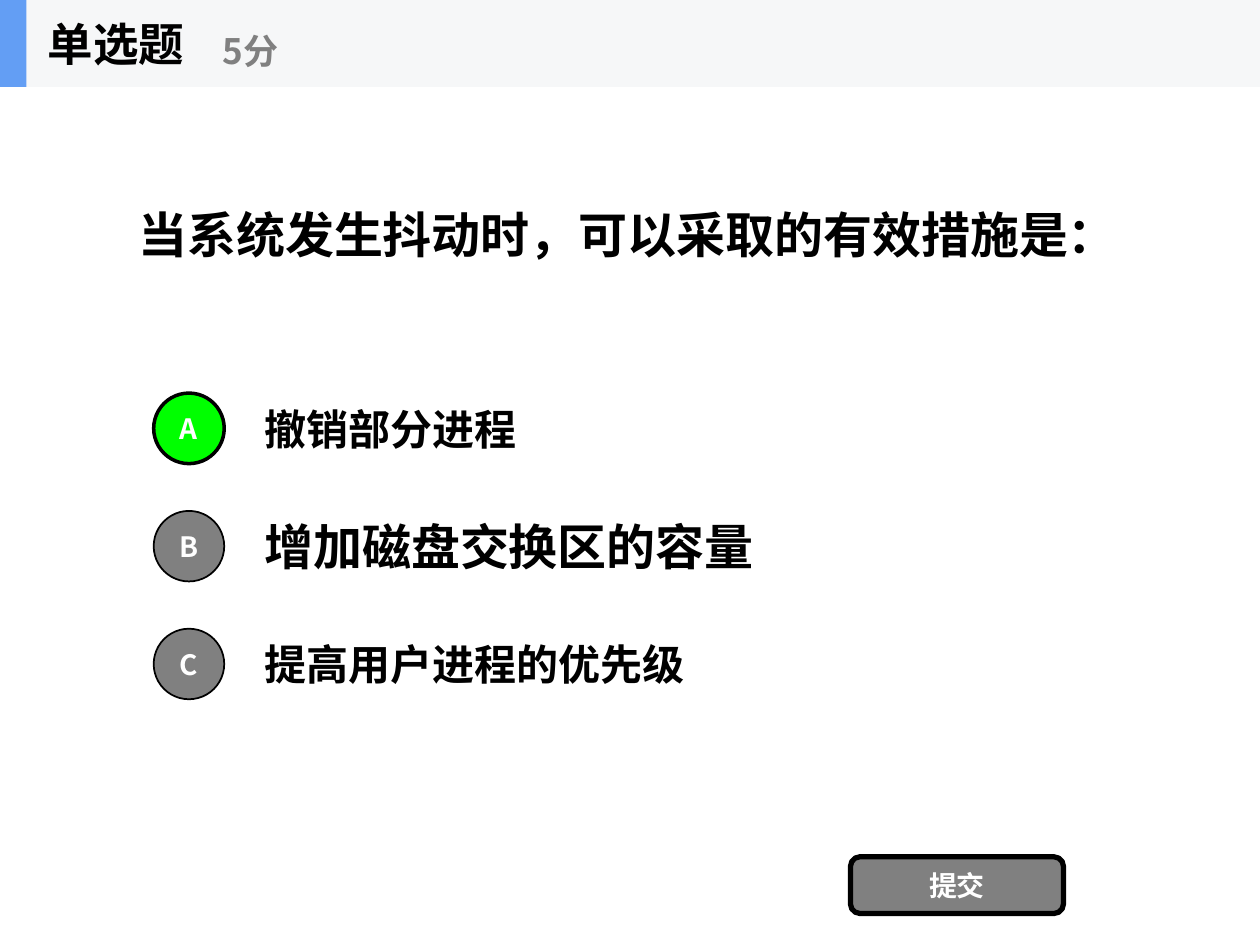
import pptx
import pptx.util
import pptx.dml.color
import pptx.enum.shapes
import pptx.enum.text
import pptx.enum.lang
import lxml.etree

Pt = pptx.util.Pt
KIND = pptx.enum.shapes.MSO_SHAPE
ALIGN = pptx.enum.text.PP_ALIGN

HEAD = "单选题"
SCORE = "5分"
ASK = "当系统发生抖动时，可以采取的有效措施是："
SEND = "提交"
PICKS = [
    ("A", "撤销部分进程", "small", True),
    ("B", "增加磁盘交换区的容量", "large", False),
    ("C", "提高用户进程的优先级", "small", False),
]

THEME = {
    "black": "000000", "white": "FFFFFF", "gray": "808080",
    "right": "00FF00", "band": "F6F7F8", "mark": "639EF4",
    "large": 28, "small": 24, "head": 26, "score": 20, "label": 16,
    "body": "Arial", "sans": "Noto Sans CJK SC",
}
WIDE, HIGH, BAR = 720, 540, 49.68
TOP, STEP, ROW, DOT = 219.6, 67.32, 50.4, 40.32


def color(name):
    return pptx.dml.color.RGBColor.from_string(THEME[name])


def write(item, text, size, ink, face, align=ALIGN.LEFT, wrap=True):
    frame = item.text_frame
    frame.text = text
    frame.word_wrap = wrap
    frame.vertical_anchor = pptx.enum.text.MSO_ANCHOR.MIDDLE
    para = frame.paragraphs[0]
    para.alignment = align
    font = para.runs[0].font
    font.size, font.bold = Pt(THEME[size]), True
    font.name = THEME[face]
    font.color.rgb = color(ink)
    font.language_id = pptx.enum.lang.MSO_LANGUAGE_ID.SIMPLIFIED_CHINESE
    tag = pptx.oxml.ns.qn("a:ea")
    props = para.runs[0].font._element
    lxml.etree.SubElement(props, tag).set("typeface", THEME["sans"])


def label(home, box, *style, **more):
    item = home.add_textbox(*map(Pt, box))
    write(item, *style, **more)


def block(home, kind, box, fill, line=0, text=None):
    item = home.add_shape(kind, *map(Pt, box))
    item.shadow.inherit = False
    item.fill.solid()
    item.fill.fore_color.rgb = color(fill)
    if line:
        item.line.color.rgb = color("black")
        item.line.width = Pt(line)
    else:
        item.line.fill.background()
    if text:
        write(item, text, "label", "white", "sans", ALIGN.CENTER)
        frame = item.text_frame
        frame.margin_left = frame.margin_right = 0
        frame.margin_top = frame.margin_bottom = 0


def main():
    deck = pptx.Presentation()
    deck.slide_width, deck.slide_height = Pt(WIDE), Pt(HIGH)
    shapes = deck.slides.add_slide(deck.slide_layouts[6]).shapes

    label(shapes, (72, BAR, 576, 168.48), ASK, "large", "black", "body")
    for row, (key, text, size, right) in enumerate(PICKS):
        top = TOP + row * STEP
        label(shapes, (144, top, 504, ROW), text, size, "black", "body")
        block(shapes, KIND.OVAL, (87.84, top + (ROW - DOT) / 2, DOT, DOT),
              "right" if right else "gray", 2 if right else 1, key)
    block(shapes, KIND.ROUNDED_RECTANGLE, (486, 489.6, 121.68, 32.4),
          "gray", 3, SEND)

    bar = shapes.add_group_shape().shapes
    block(bar, KIND.RECTANGLE, (0, 0, WIDE, BAR), "band")
    block(bar, KIND.RECTANGLE, (0, 0, 15.12, BAR), "mark")
    label(bar, (20.16, 0, 149.76, BAR), HEAD, "head", "black", "sans", wrap=False)
    label(bar, (120.24, 8.64, 180, DOT), SCORE, "score", "gray", "sans", wrap=False)

    deck.save("out.pptx")


if __name__ == "__main__":
    main()
